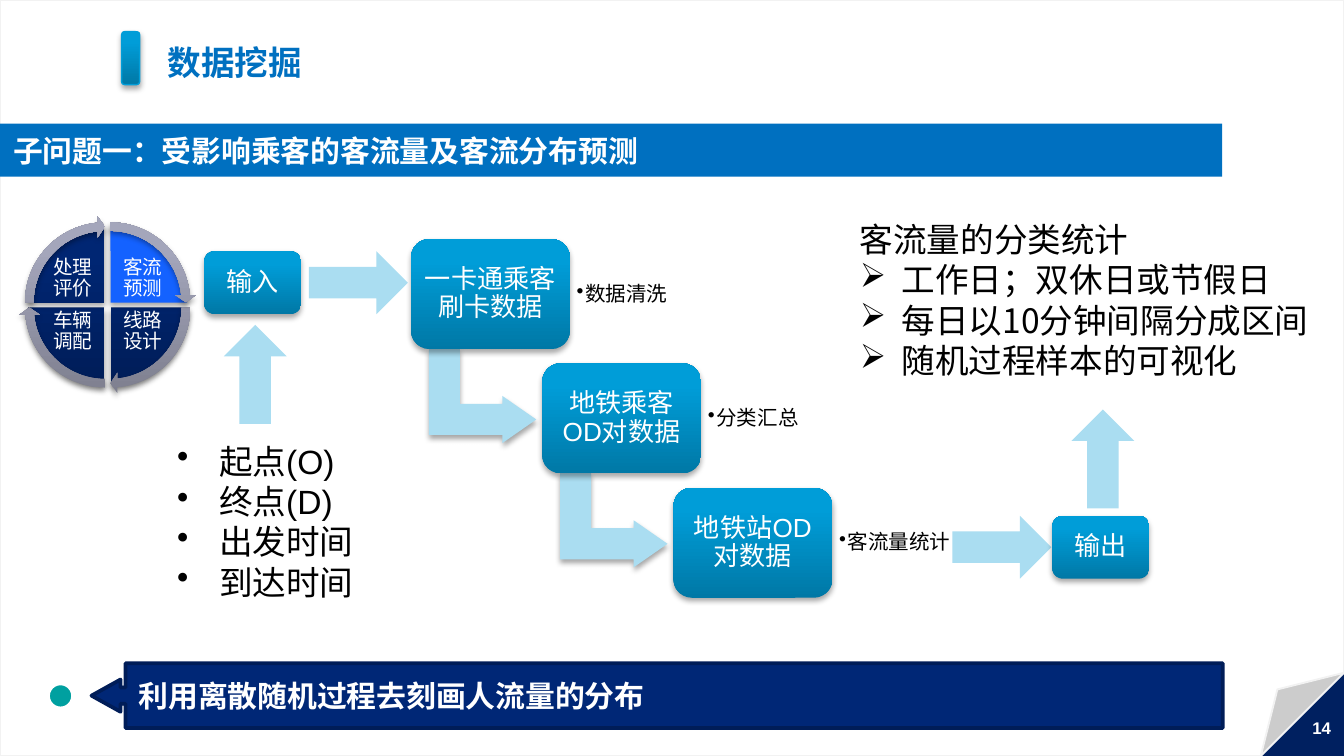
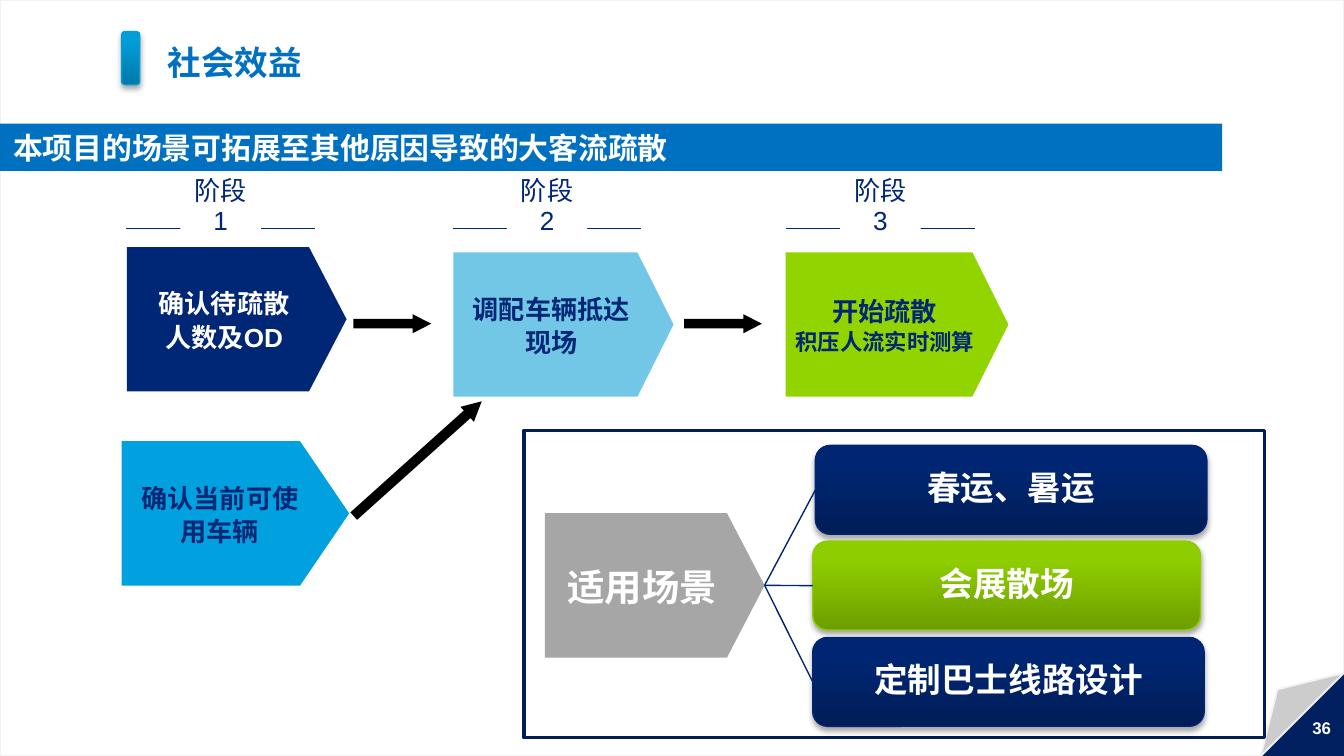
"""Builds two slides on passenger flow prediction and its social benefit."""
from pptx import Presentation
from pptx.dml.color import RGBColor
from pptx.enum.shapes import MSO_CONNECTOR, MSO_SHAPE
from pptx.enum.text import MSO_ANCHOR, PP_ALIGN
from pptx.oxml.ns import qn
from pptx.util import Cm, Pt
from lxml import etree

RECT, ROUND, FOLD = MSO_SHAPE.RECTANGLE, MSO_SHAPE.ROUNDED_RECTANGLE, MSO_SHAPE.FOLDED_CORNER
ARROW, BENT, PLATE = MSO_SHAPE.RIGHT_ARROW, MSO_SHAPE.BENT_UP_ARROW, MSO_SHAPE.PENTAGON
CALLOUT, DOT = MSO_SHAPE.LEFT_ARROW_CALLOUT, MSO_SHAPE.OVAL
PIE, RING = MSO_SHAPE.PIE, MSO_SHAPE.CIRCULAR_ARROW
STRAIGHT = MSO_CONNECTOR.STRAIGHT
LEFT, CENTER = PP_ALIGN.LEFT, PP_ALIGN.CENTER
TOP, MIDDLE, BOTTOM = MSO_ANCHOR.TOP, MSO_ANCHOR.MIDDLE, MSO_ANCHOR.BOTTOM

WHITE = RGBColor(0xFF, 0xFF, 0xFF)
BLACK = RGBColor(0x00, 0x00, 0x00)
EDGE = RGBColor(0xF2, 0xF2, 0xF2)
CORNER = RGBColor(0x00, 0x20, 0x60)
BLUE = RGBColor(0x00, 0x70, 0xC0)
SKY = RGBColor(0x00, 0x9D, 0xD8)
SKY_DARK = RGBColor(0x00, 0x78, 0xA6)
CYAN = RGBColor(0x00, 0xA1, 0xDE)
LIGHT = RGBColor(0x72, 0xC7, 0xE7)
PALE = RGBColor(0xAA, 0xDD, 0xF1)
NAVY = RGBColor(0x00, 0x27, 0x76)
NAVY_MID = RGBColor(0x00, 0x26, 0x73)
NAVY_DARK = RGBColor(0x00, 0x1D, 0x58)
BRIGHT = RGBColor(0x14, 0x62, 0xFF)
TEAL = RGBColor(0x00, 0xA0, 0xA0)
LIME = RGBColor(0x92, 0xD4, 0x00)
GREEN = RGBColor(0x8E, 0xCE, 0x00)
GREEN_DARK = RGBColor(0x6D, 0x9E, 0x00)
GREY = RGBColor(0xA6, 0xA6, 0xA6)
STEEL = RGBColor(0xA4, 0xA6, 0xBB)
STEEL_DARK = RGBColor(0x7E, 0x7F, 0x8F)

SKY_GRADIENT = (SKY_DARK, SKY)
NAVY_GRADIENT = (NAVY_DARK, NAVY_MID)
GREEN_GRADIENT = (GREEN_DARK, GREEN)
STEEL_GRADIENT = (STEEL_DARK, STEEL)

PLAIN_INSETS = (0.25, 0.13, 0.25, 0.13)
STEP_INSETS = (0.15, 0.15, 0.15, 0.15)
PLATE_INSETS = (0.13, 0.13, 0.25, 0.13)
WIDTH, HEIGHT = 25.4, 14.29


def draw(slide, preset, box, fill=None, line=None, weight=0.75, adjust=(), turn=0, shadow=False):
    shape = slide.shapes.add_shape(preset, *map(Cm, box))
    shape.rotation = turn
    if adjust:
        guides = shape.element.spPr.find(qn("a:prstGeom")).get_or_add_avLst()
        for guide in list(guides):
            guides.remove(guide)
        for index, value in enumerate(adjust, 1):
            etree.SubElement(guides, qn("a:gd"), name=f"adj{index}" if len(adjust) > 1 else "adj",
                             fmla=f"val {round(value * 100000)}")
    if fill is None:
        shape.fill.background()
    elif isinstance(fill, RGBColor):
        shape.fill.solid()
        shape.fill.fore_color.rgb = fill
    else:
        shape.fill.gradient()
        shape.fill.gradient_angle = 90
        for stop, color, position in zip(shape.fill.gradient_stops, fill, (0, 0.8)):
            stop.color.rgb = color
            stop.position = position
    if line is None:
        shape.line.fill.background()
    else:
        shape.line.color.rgb = line
        shape.line.width = Pt(weight)
    shape.shadow.inherit = False
    if shadow:
        effects = shape.element.spPr.find(qn("a:effectLst"))
        outer = etree.SubElement(effects, qn("a:outerShdw"), blurRad="39370", dist="22860",
                                 dir="5400000", rotWithShape="0")
        tint = etree.SubElement(outer, qn("a:srgbClr"), val="000000")
        etree.SubElement(tint, qn("a:alpha"), val="35000")
    return shape


def write(shape, lines, size, color, bold=False, align=LEFT, anchor=MIDDLE, insets=PLAIN_INSETS,
          spacing=None, bullet=None, indent=0.79, headings=0, font="Arial"):
    frame = shape.text_frame
    frame.word_wrap = True
    frame.vertical_anchor = anchor
    frame.margin_left, frame.margin_top, frame.margin_right, frame.margin_bottom = map(Cm, insets)
    for index, line in enumerate(lines):
        paragraph = frame.paragraphs[0] if index == 0 else frame.add_paragraph()
        paragraph.text = line
        paragraph.alignment = align
        if spacing:
            paragraph.line_spacing = spacing
        if bullet and index >= headings:
            properties = paragraph._p.get_or_add_pPr()
            properties.set("marL", str(Cm(indent)))
            properties.set("indent", str(-Cm(indent)))
            etree.SubElement(properties, qn("a:buChar"), char=bullet)
        paragraph.font.name = font
        paragraph.font.size = Pt(size)
        paragraph.font.bold = bold
        paragraph.font.color.rgb = color


prs = Presentation()
prs.slide_width, prs.slide_height = Cm(WIDTH), Cm(HEIGHT)

pages = []
for title, number, heading, band_height in (
    ("数据挖掘", "14", "子问题一：受影响乘客的客流量及客流分布预测", 1),
    ("社会效益", "36", "本项目的场景可拓展至其他原因导致的大客流疏散", 0.89),
):
    page = prs.slides.add_slide(prs.slide_layouts[6])
    draw(page, RECT, (23.29, 12.55, 2.11, 1.74), CORNER)
    sheet = draw(page, FOLD, (0, 0, WIDTH, HEIGHT), WHITE, EDGE, 1, (0.11,))
    sheet.element.spPr.find(qn("a:prstGeom")).set("prst", "foldedCorner")
    write(page.shapes.add_textbox(Cm(24.56), Cm(13.56), Cm(0.84), Cm(0.7)), [number], 9, WHITE,
          True, CENTER, TOP, (0, 0, 0, 0))
    draw(page, ROUND, (2.3, 0.6, 0.34, 1), SKY_GRADIENT, SKY, shadow=True)
    write(page.shapes.add_textbox(Cm(2.92), Cm(0.66), Cm(8.79), Cm(1.02)), [title], 18, BLUE,
          True, anchor=TOP)
    band = draw(page, RECT, (0, 2.34, 23.1, band_height), BLUE)
    write(band, [heading], 16, WHITE, True, insets=(0.25, 0.1, 0.25, 0.1))
    pages.append(page)
mining, benefit = pages

conclusion = draw(mining, CALLOUT, (1.73, 12.54, 21.38, 1.22), NAVY, NAVY_DARK, 2,
                  (0.25, 0.25, 0.45, 0.97))
write(conclusion, ["利用离散随机过程去刻画人流量的分布"], 16, WHITE, True)
draw(mining, DOT, (0.89, 12.9, 0.51, 0.51), TEAL, WHITE, 3)

steps = (("一卡通乘客刷卡数据", "数据清洗", 2.18),
         ("地铁乘客OD对数据", "分类汇总", 2.18),
         ("地铁站OD对数据", "客流量统计", 2.72))
for index, (data, action, action_width) in enumerate(steps):
    x, y = 7.77 + 2.48 * index, 4.52 + 2.35 * index
    if index < len(steps) - 1:
        draw(mining, BENT, (x + 0.46, y + 1.95, 1.78, 2.03), PALE, adjust=(0.33, 0.25, 0.36),
             turn=90, shadow=True)
    step = draw(mining, ROUND, (x, y, 3, 2.08), SKY_GRADIENT, shadow=True)
    write(step, [data], 14, WHITE, align=CENTER, insets=STEP_INSETS, spacing=0.9)
    write(mining.shapes.add_textbox(Cm(x + 3), Cm(y + 0.2), Cm(action_width), Cm(1.7)), [action],
          11, BLACK, insets=(0.13, 0.13, 0.13, 0.13), spacing=0.9, bullet="•", indent=0.16)

for x, y, turn in ((5.84, 4.75, 0), (18, 9.75, 0), (3.89, 6.48, 270), (19.91, 8.08, 270)):
    draw(mining, ARROW, (x, y, 1.87, 1.19), PALE, turn=turn)
for x, y, label in ((3.86, 4.75, "输入"), (19.89, 9.75, "输出")):
    terminal = draw(mining, ROUND, (x, y, 1.83, 1.19), SKY_GRADIENT, shadow=True)
    write(terminal, [label], 14, WHITE, align=CENTER, insets=STEP_INSETS, spacing=0.9)

write(mining.shapes.add_textbox(Cm(3.1), Cm(8.2), Cm(4.2), Cm(3.33)),
      ["起点(O)", "终点(D)", "出发时间", "到达时间"], 18, BLACK, anchor=TOP, bullet="•")
write(mining.shapes.add_textbox(Cm(16), Cm(4.01), Cm(9.09), Cm(3.33)),
      ["客流量的分类统计", "工作日；双休日或节假日", "每日以10分钟间隔分成区间", "随机过程样本的可视化"],
      18, BLACK, anchor=TOP, bullet="➢", headings=1, font="Noto Sans CJK SC")

QUARTER = 54
wheel = (("线路设计", 1, 1), ("车辆调配", 0, 1), ("处理评价", 0, 0), ("客流预测", 1, 0))
for index, (label, column, row) in enumerate(wheel):
    start = QUARTER * index
    x, y = 0.53 + 0.11 * column, 4.27 + 0.1 * row
    sector_fill = BRIGHT if label == "客流预测" else NAVY_GRADIENT
    draw(mining, PIE, (x, y, 2.9, 2.9), sector_fill,
         adjust=(start, (start + QUARTER) % (4 * QUARTER)), shadow=True)
    write(mining.shapes.add_textbox(Cm(0.84 + 1.32 * column), Cm(4.88 + 0.99 * row),
                                    Cm(1.07), Cm(0.79)),
          [label], 10.5, WHITE, align=CENTER, insets=(0.05, 0.05, 0.05, 0.05), spacing=0.9)
for index, (label, column, row) in enumerate(wheel):
    start = QUARTER * index
    draw(mining, RING, (0.36 + 0.1 * column, 4.09 + 0.1 * row, 3.25, 3.25), STEEL_GRADIENT,
         adjust=(0.05, 3.28, start + 50.72, start, 0.06), shadow=True)

for x, y, length, height, turn in ((6.68, 5.94, 1.47, 0.36, 0), (12.93, 5.94, 1.47, 0.36, 0),
                                   (6.27, 8.48, 3.25, 0.38, 318.1)):
    draw(benefit, ARROW, (x, y, length, height), BLACK, adjust=(0.5, 0.97), turn=turn)

for index, x in enumerate((2.39, 8.56, 14.86), 1):
    rule = benefit.shapes.add_connector(STRAIGHT, Cm(x), Cm(4.32), Cm(x + 3.56), Cm(4.32))
    rule.line.color.rgb = NAVY
    rule.line.width = Pt(1)
    etree.SubElement(rule.element.spPr, qn("a:effectLst"))
    stage = draw(benefit, RECT, (x + 1.02, 3.94, 1.52, 0.53), WHITE)
    write(stage, [f"阶段{index}"], 14, NAVY, align=CENTER, anchor=BOTTOM,
          insets=(0.2, 0, 0.2, 0), spacing=0.95)

for box, point, fill, color, size, lines in (
    ((2.3, 8.34, 4.3, 2.73), 0.34, CYAN, NAVY, 14, ["确认当前可使用车辆"]),
    ((8.57, 4.77, 4.16, 2.73), 0.25, LIGHT, NAVY, 14, ["调配车辆抵达现场"]),
    ((2.4, 4.67, 4.15, 2.73), 0.26, NAVY, WHITE, 14, ["确认待疏散\n人数及OD"]),
    ((14.85, 4.77, 4.21, 2.73), 0.25, LIME, NAVY, 14, ["开始疏散", "积压人流实时测算"]),
    ((10.3, 9.7, 4.15, 2.73), 0.26, GREY, WHITE, 20, ["适用场景"]),
):
    plate = draw(benefit, PLATE, box, fill, adjust=(point,))
    write(plate, lines, size, color, True, CENTER, insets=PLATE_INSETS, spacing=1.06)
    for detail in plate.text_frame.paragraphs[1:]:
        detail.font.size = Pt(12)
scenarios = plate

draw(benefit, RECT, (9.9, 8.14, 14, 5.8), line=NAVY_DARK, weight=2)
for x, y, width, gradient, label in (
    (15.41, 8.42, 7.4, NAVY_GRADIENT, "春运、暑运"),
    (15.36, 10.23, 7.33, GREEN_GRADIENT, "会展散场"),
    (15.36, 12.05, 7.4, NAVY_GRADIENT, "定制巴士线路设计"),
):
    scenario = draw(benefit, ROUND, (x, y, width, 1.68), gradient, gradient[1], shadow=True)
    write(scenario, [label], 18, WHITE, True, CENTER, spacing=0.9)
    branch = benefit.shapes.add_connector(STRAIGHT, 0, 0, 0, 0)
    branch.begin_connect(scenario, 1)
    branch.end_connect(scenarios, 3)
    branch.line.color.rgb = NAVY_MID
    branch.line.width = Pt(0.75)
    etree.SubElement(branch.element.spPr, qn("a:effectLst"))

prs.save("out.pptx")
